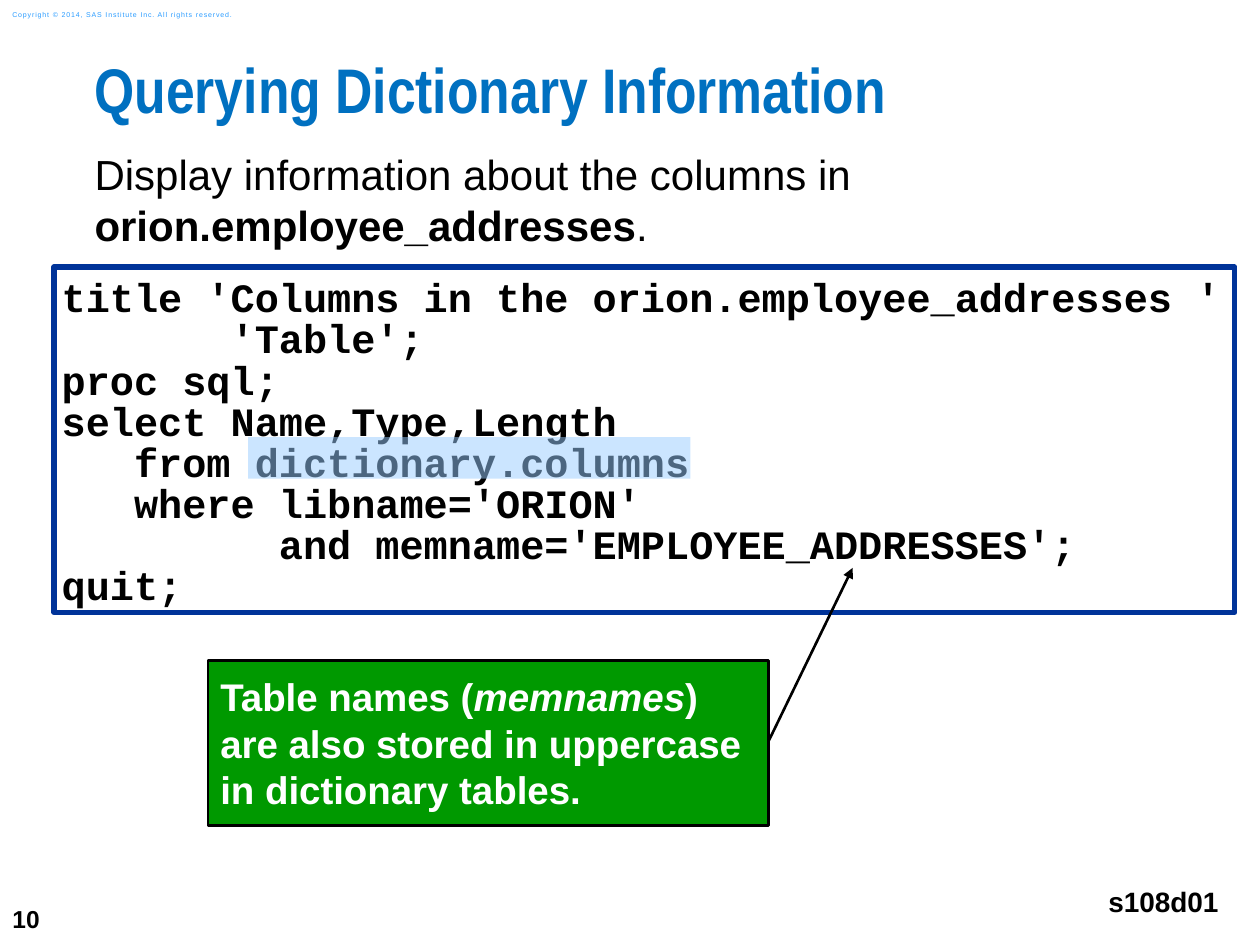
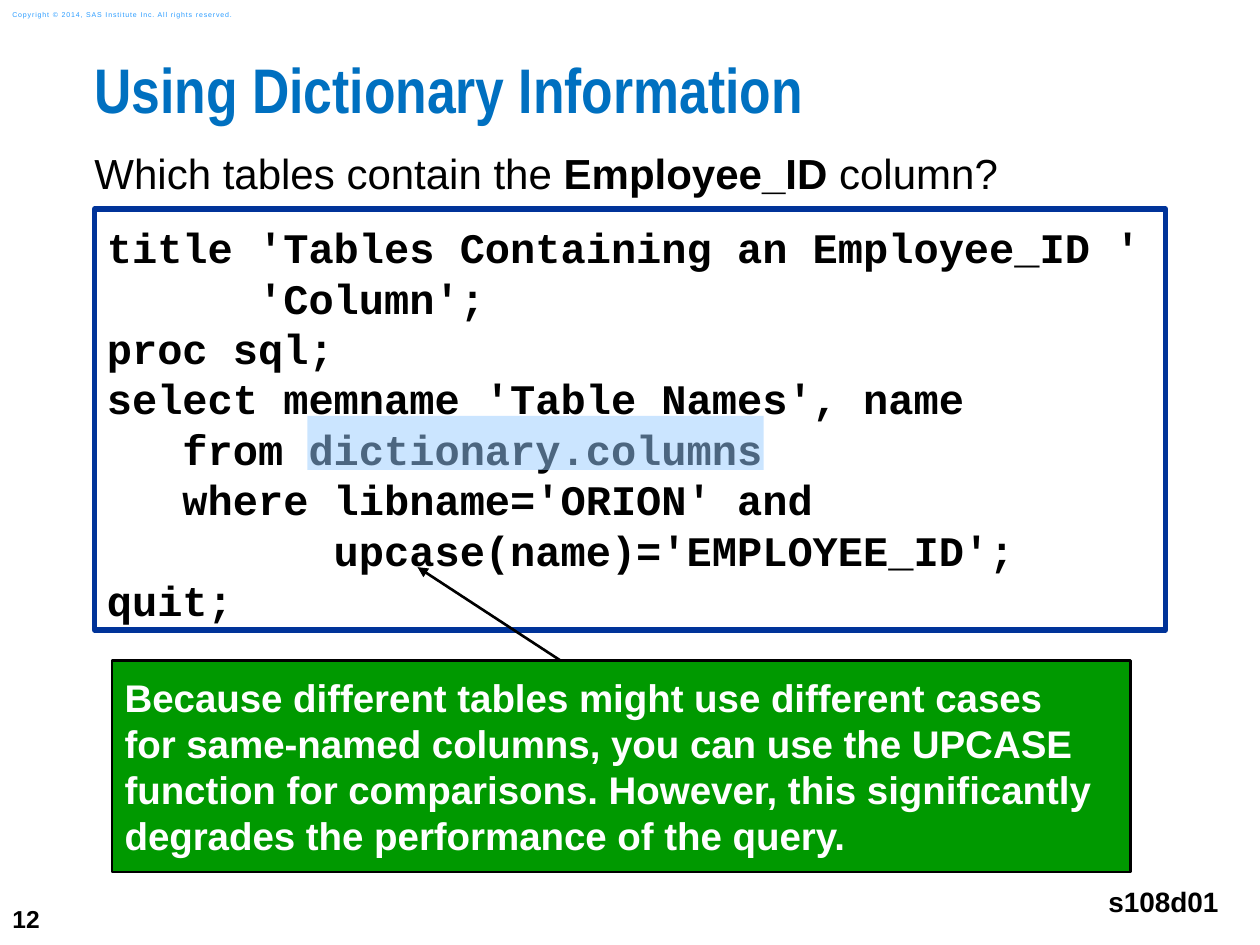
from lxml import etree
from pptx import Presentation
from pptx.dml.color import RGBColor
from pptx.enum.shapes import MSO_SHAPE
from pptx.enum.text import MSO_ANCHOR, MSO_AUTO_SIZE, PP_ALIGN
from pptx.oxml.ns import qn
from pptx.util import Inches, Pt

RECTANGLE, CALLOUT = MSO_SHAPE.RECTANGLE, MSO_SHAPE.LINE_CALLOUT_1
TOP, MIDDLE = MSO_ANCHOR.TOP, MSO_ANCHOR.MIDDLE
LEFT, RIGHT = PP_ALIGN.LEFT, PP_ALIGN.RIGHT
NO_FIT = MSO_AUTO_SIZE.NONE
TITLE_ONLY = 5

# Shared colours and text formats
BLACK, WHITE, GREEN = "000000", "FFFFFF", "009900"
TITLE_BLUE, FRAME_BLUE, MARKER_BLUE = "0070C0", "003399", "99CCFF"
COPYRIGHT_BLUE = "2A9CFF"
LINE_HEIGHT = 1.2
FORMATS = {
    "title": dict(name="Arial Narrow", size=36, bold=True, color=TITLE_BLUE),
    "body": dict(name="Arial", size=24, bold=False, color=BLACK),
    "code": dict(name="Courier New", size=24, bold=True, color=BLACK),
    "callout": dict(name="Arial", size=22, bold=True, color=WHITE),
    "program": dict(name="Arial", size=16, bold=True, color=BLACK),
    "number": dict(name="Arial", size=14, bold=True, color=BLACK),
    "copyright": dict(name="Arial", size=4, bold=False, color=COPYRIGHT_BLUE),
}
COPYRIGHT = "Copyright © 2014, SAS Institute Inc. All rights reserved."
PROGRAM = "s108d01"


def rgb(value):
    return RGBColor.from_string(value)


class Lesson:
    """Holds the deck, its style and the current slide."""

    def __init__(self):
        self.deck = Presentation()
        self.deck.slide_width, self.deck.slide_height = Inches(10), Inches(7.5)
        self.page = None

    def new_page(self, title, number):
        layout = self.deck.slide_layouts[TITLE_ONLY]
        self.page = self.deck.slides.add_slide(layout)
        box = self.page.shapes.title
        box.left, box.top = Inches(0.75), Inches(0.5)
        box.width, box.height = Inches(9.25), Inches(0.74)
        self.fill_text(box, [title], "title", scale=0.83)
        # Footer texts
        self.text((0, 7.08, 0.58, 0.42), [str(number)], "number",
                  insets=(0.1, 0.05, 0.1, 0.05), anchor=MIDDLE)
        box = self.text((0, 0.03, 2.11, 0.17), [COPYRIGHT], "copyright",
                        insets=(0.1, 0.05, 0.1, 0.05), anchor=MIDDLE)
        for span in box.text_frame.paragraphs[0].runs:
            span._r.get_or_add_rPr().set("spc", "50")
        self.text((8.5, 6.92, 1.27, 0.47), [PROGRAM], "program",
                  insets=(0.1,) * 4, align=RIGHT)

    def fill_text(self, box, lines, style, insets=(0,) * 4, anchor=TOP,
                  align=LEFT, scale=1, size=None):
        """Each line is a string or a list of (text, font changes)."""
        base = dict(FORMATS[style])
        base["size"] = size or base["size"]
        frame = box.text_frame
        sides = ("left", "top", "right", "bottom")
        layout = {f"margin_{side}": Inches(inset)
                  for side, inset in zip(sides, insets)}
        layout.update(word_wrap=True, auto_size=NO_FIT, vertical_anchor=anchor)
        for key, value in layout.items():
            setattr(frame, key, value)
        for index, line in enumerate(lines):
            para = frame.add_paragraph() if index else frame.paragraphs[0]
            para.alignment = align
            para.line_spacing = Pt(round(base["size"] * LINE_HEIGHT * scale, 1))
            para.space_before = para.space_after = Pt(0)
            spans = [(line, {})] if isinstance(line, str) else line
            for text, changes in spans:
                span = para.add_run()
                span.text = text
                self.style_font(span.font, {**base, **changes})

    def style_font(self, font, values):
        for key, value in values.items():
            if key == "color":
                font.color.rgb = rgb(value)
            else:
                setattr(font, key, Pt(value) if key == "size" else value)

    def text(self, place, lines, style, **options):
        box = self.page.shapes.add_textbox(*map(Inches, place))
        self.fill_text(box, lines, style, **options)
        return box

    def shape(self, kind, place, fill, line=None, width=0):
        box = self.page.shapes.add_shape(kind, *map(Inches, place))
        box.shadow.inherit = False
        box.fill.solid()
        box.fill.fore_color.rgb = rgb(fill)
        if line:
            box.line.color.rgb = rgb(line)
            box.line.width = Pt(width)
        else:
            box.line.fill.background()
        return box

    def code(self, place, source, left_inset, **options):
        box = self.shape(RECTANGLE, place, WHITE, FRAME_BLUE, 3)
        self.fill_text(box, source.strip("\n").split("\n"), "code",
                       insets=(left_inset, 0.1, 0.06, 0.02), **options)

    def marker(self, place):
        box = self.shape(RECTANGLE, place, MARKER_BLUE)
        color = box._element.spPr.find(".//" + qn("a:srgbClr"))
        etree.SubElement(color, qn("a:alpha")).set("val", "50000")

    def callout(self, place, lines, pointer):
        box = self.shape(CALLOUT, place, GREEN, BLACK, 1.5)
        for index, value in enumerate(pointer):
            box.adjustments[index] = value
        outline = box._element.spPr.find(qn("a:ln"))
        etree.SubElement(outline, qn("a:tailEnd")).set("type", "triangle")
        self.fill_text(box, lines, "callout", insets=(0.1,) * 4, anchor=MIDDLE)


COLUMNS_QUERY = """
title 'Columns in the orion.employee_addresses '
       'Table';
proc sql;
select Name,Type,Length
   from dictionary.columns
   where libname='ORION'
         and memname='EMPLOYEE_ADDRESSES';
quit;
"""

TABLES_QUERY = """
title 'Tables Containing an Employee_ID '
      'Column';
proc sql;
select memname 'Table Names', name
   from dictionary.columns
   where libname='ORION' and
         upcase(name)='EMPLOYEE_ID';
quit;
"""


def main():
    lesson = Lesson()

    # Columns of one table
    lesson.new_page("Querying Dictionary Information", 10)
    lesson.text((0.75, 1.18, 8.58, 0.9), [[
        ("Display information about the columns in ", {}),
        ("orion.employee_addresses", {"bold": True}), (".", {})]], "body")
    lesson.code((0.43, 2.12, 9.37, 2.74), COLUMNS_QUERY, 0.06,
                size=23, scale=0.85)
    lesson.callout((1.65, 5.24, 4.45, 1.31), [
        [("Table names (", {}), ("memnames", {"italic": True}), (")", {})],
        "are also stored in uppercase",
        "in dictionary tables."], (0.49, 1, -0.56, 1.15))
    lesson.marker((1.97, 3.47, 3.51, 0.33))

    # Tables that share a column
    lesson.new_page("Using Dictionary Information", 12)
    lesson.text((0.75, 1.17, 8.5, 0.45), [[
        ("Which tables contain the ", {}),
        ("Employee_ID", {"bold": True}), (" column?", {})]], "body")
    lesson.code((0.75, 1.66, 8.5, 3.34), TABLES_QUERY, 0.1)
    lesson.marker((2.44, 3.3, 3.62, 0.43))
    lesson.callout((0.89, 5.24, 8.08, 1.68), [
        "Because different tables might use different cases",
        "for same-named columns, you can use the UPCASE",
        "function for comparisons. However, this significantly "
        "degrades the performance of the query."], (0, 0.44, -0.44, 0.3))

    lesson.deck.save("out.pptx")


if __name__ == "__main__":
    main()
